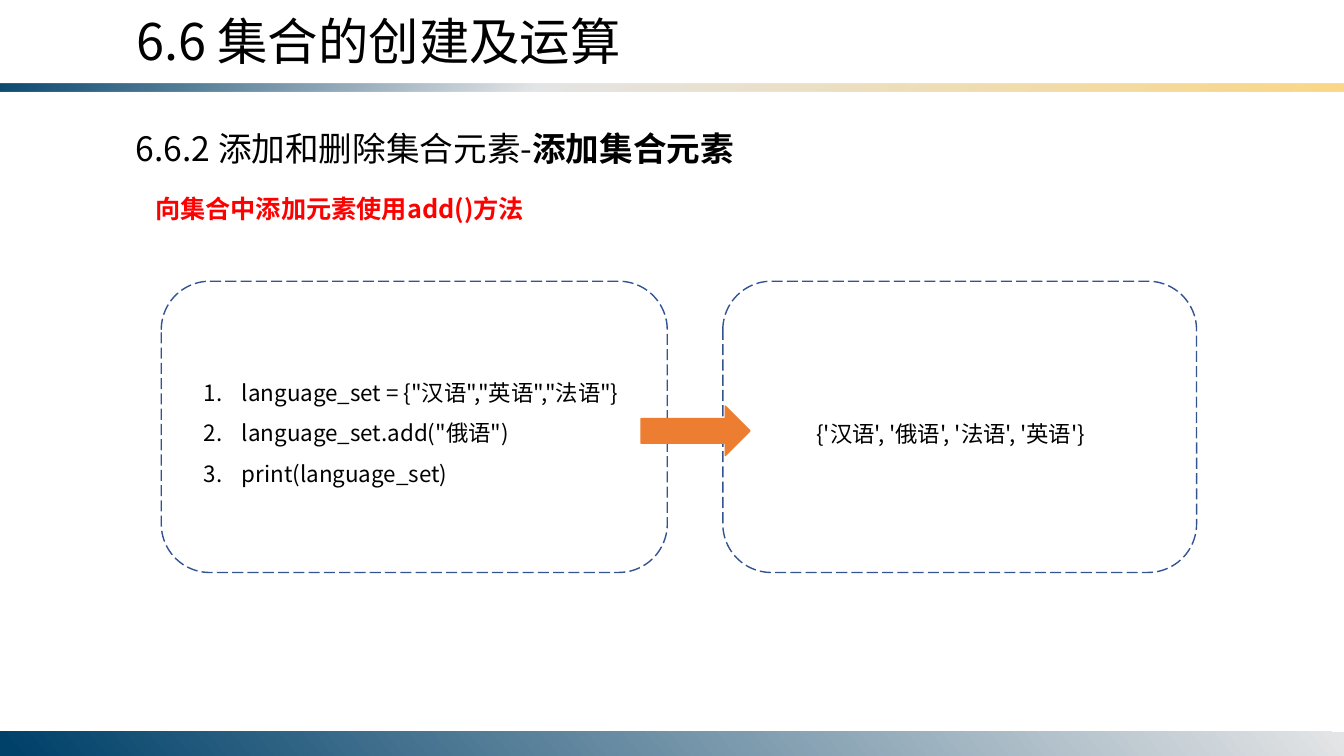
from dataclasses import dataclass

from lxml.etree import SubElement
from pptx import Presentation
from pptx.dml.color import RGBColor
from pptx.enum.dml import MSO_LINE
from pptx.enum.shapes import MSO_SHAPE
from pptx.enum.text import MSO_ANCHOR, PP_ALIGN
from pptx.oxml import parse_xml
from pptx.oxml.ns import nsdecls, qn
from pptx.presentation import Presentation as Deck
from pptx.shapes.autoshape import Shape
from pptx.slide import Slide
from pptx.util import Inches, Pt

FONT = "Noto Sans CJK SC"
SLIDE_WIDTH, SLIDE_HEIGHT = Inches(13.33), Inches(7.5)
BLACK, RED, BLUE, ORANGE = "000000", "FF0000", "325491", "ED7D31"


@dataclass
class Area:
    """Shares of the slide's width and height, in percent."""
    left: float
    top: float
    width: float
    height: float

    def lengths(self) -> tuple[int, int, int, int]:
        return (int(SLIDE_WIDTH * self.left / 100), int(SLIDE_HEIGHT * self.top / 100),
                int(SLIDE_WIDTH * self.width / 100), int(SLIDE_HEIGHT * self.height / 100))


@dataclass
class Stop:
    position: int
    color: str
    opacity: int = 100


@dataclass
class Bar:
    area: Area
    angle: int
    stops: list[Stop]


@dataclass
class Words:
    text: str
    bold: bool = False


@dataclass
class TextBlock:
    area: Area
    paragraphs: list[list[Words]]
    size: int
    color: str = BLACK
    spacing: float = 1.0
    first_indent: float = 0
    numbered: bool = False


BARS = [
    Bar(Area(0, 11.07, 100, 1.07), 50,
        [Stop(0, "00416A", 95), Stop(40, "E4E5E6"), Stop(100, "FBD786")]),
    Bar(Area(0, 96.8, 100, 3.2), 140, [Stop(0, "E4E5E6"), Stop(99, "00416A")]),
]
PANELS = [Area(12, 37.2, 37.65, 38.53), Area(53.78, 37.2, 35.25, 38.53)]
ARROW = Area(47.7, 53.73, 8.1, 6.53)

TITLE = TextBlock(Area(9.38, 0.67, 45.9, 9.47), [[Words("6.6 集合的创建及运算")]], 36)
CODE = TextBlock(
    Area(14.4, 47.73, 32.85, 17.47),
    [[Words('language_set = {"汉语","英语","法语"}')],
     [Words('language_set.add("俄语")')],
     [Words("print(language_set)")]],
    16, spacing=1.5, numbered=True)
TEXT_BOXES = [
    TextBlock(Area(9.38, 16.27, 59.93, 6.67),
              [[Words("6.6.2 添加和删除集合元素-"), Words("添加集合元素", True)]], 24),
    TextBlock(Area(7.05, 22.93, 81.08, 7.33),
              [[Words("向集合中添加元素使用add()方法", True)]],
              18, RED, spacing=1.5, first_indent=0.5),
    TextBlock(Area(60, 53.2, 22.73, 6.67),
              [[Words("{'汉语', '俄语', '法语', '英语'}")]], 16, spacing=1.5),
]


def rgb(color: str) -> RGBColor:
    return RGBColor.from_string(color)


def place(shape: Shape, area: Area) -> None:
    shape.left, shape.top, shape.width, shape.height = area.lengths()


def write(shape: Shape, block: TextBlock) -> None:
    place(shape, block.area)
    frame = shape.text_frame
    frame.word_wrap = True
    frame.vertical_anchor = MSO_ANCHOR.TOP
    for index, words_list in enumerate(block.paragraphs):
        paragraph = frame.paragraphs[0] if index == 0 else frame.add_paragraph()
        paragraph.alignment = PP_ALIGN.LEFT
        paragraph.line_spacing = block.spacing
        paragraph.space_before = paragraph.space_after = Pt(0)
        properties = paragraph._p.get_or_add_pPr()
        hanging = Inches(0.38) if block.numbered else 0
        properties.set("marL", str(hanging))
        properties.set("indent", str(Inches(block.first_indent) - hanging))
        if block.numbered:
            SubElement(properties, qn("a:buFont"), typeface="+mj-lt")
            SubElement(properties, qn("a:buAutoNum"), type="arabicPeriod")
        for words in words_list:
            run = paragraph.add_run()
            run.text = words.text
            run.font.name = FONT
            run.font.size = Pt(block.size)
            run.font.bold = words.bold
            run.font.color.rgb = rgb(block.color)
            SubElement(run._r.get_or_add_rPr(), qn("a:ea"), typeface=FONT)


def add_plain_shape(slide: Slide, kind: MSO_SHAPE, area: Area) -> Shape:
    shape = slide.shapes.add_shape(kind, *area.lengths())
    shape.shadow.inherit = False
    return shape


def add_bar(slide: Slide, bar: Bar) -> None:
    shape = add_plain_shape(slide, MSO_SHAPE.RECTANGLE, bar.area)
    shape.line.fill.background()
    stops = "".join(
        f'<a:gs pos="{stop.position * 1000}"><a:srgbClr val="{stop.color}">'
        f'<a:alpha val="{stop.opacity * 1000}"/></a:srgbClr></a:gs>'
        for stop in bar.stops)
    gradient = parse_xml(
        f'<a:gradFill {nsdecls("a")} rotWithShape="1"><a:gsLst>{stops}</a:gsLst>'
        f'<a:lin ang="{bar.angle * 60000}" scaled="0"/></a:gradFill>')
    shape._element.spPr.find(qn("a:prstGeom")).addnext(gradient)


def add_panel(slide: Slide, area: Area) -> None:
    panel = add_plain_shape(slide, MSO_SHAPE.ROUNDED_RECTANGLE, area)
    panel.fill.background()
    panel.line.color.rgb = rgb(BLUE)
    panel.line.width = Pt(1)
    panel.line.dash_style = MSO_LINE.LONG_DASH


def add_arrow(slide: Slide, area: Area) -> None:
    arrow = add_plain_shape(slide, MSO_SHAPE.RIGHT_ARROW, area)
    arrow.fill.solid()
    arrow.fill.fore_color.rgb = rgb(ORANGE)
    arrow.line.color.rgb = rgb(ORANGE)
    arrow.line.width = Pt(1)


def build() -> Deck:
    presentation = Presentation()
    presentation.slide_width, presentation.slide_height = SLIDE_WIDTH, SLIDE_HEIGHT
    slide = presentation.slides.add_slide(presentation.slide_layouts[1])

    # Title and numbered code
    write(slide.shapes.title, TITLE)
    write(slide.placeholders[1], CODE)

    # Bars under the title and at the foot
    for bar in BARS:
        add_bar(slide, bar)

    # Headings and printed result
    for block in TEXT_BOXES:
        write(slide.shapes.add_textbox(*block.area.lengths()), block)

    # Panels, with the arrow from code to result
    for panel in PANELS:
        add_panel(slide, panel)
    add_arrow(slide, ARROW)
    return presentation


if __name__ == "__main__":
    build().save("out.pptx")
